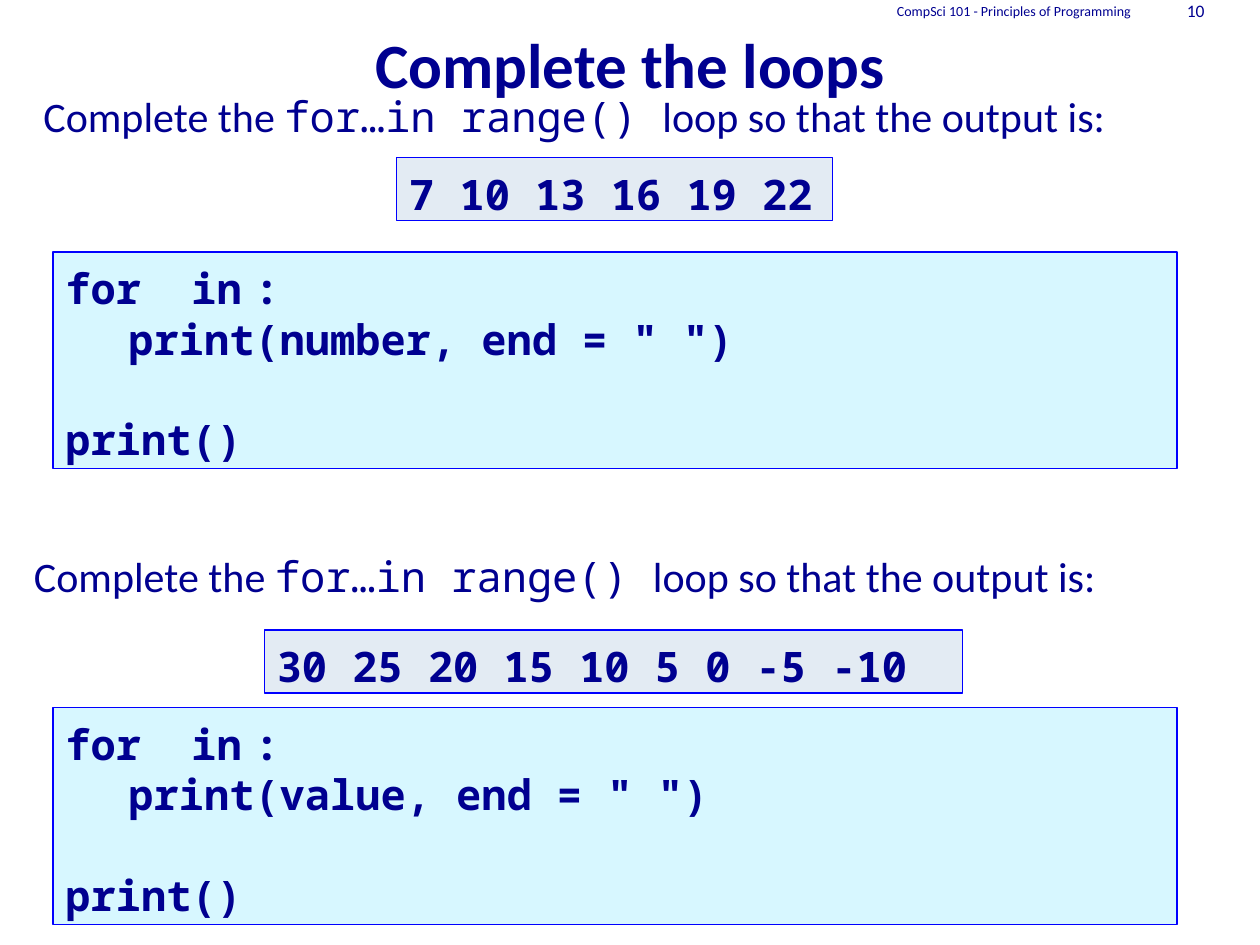
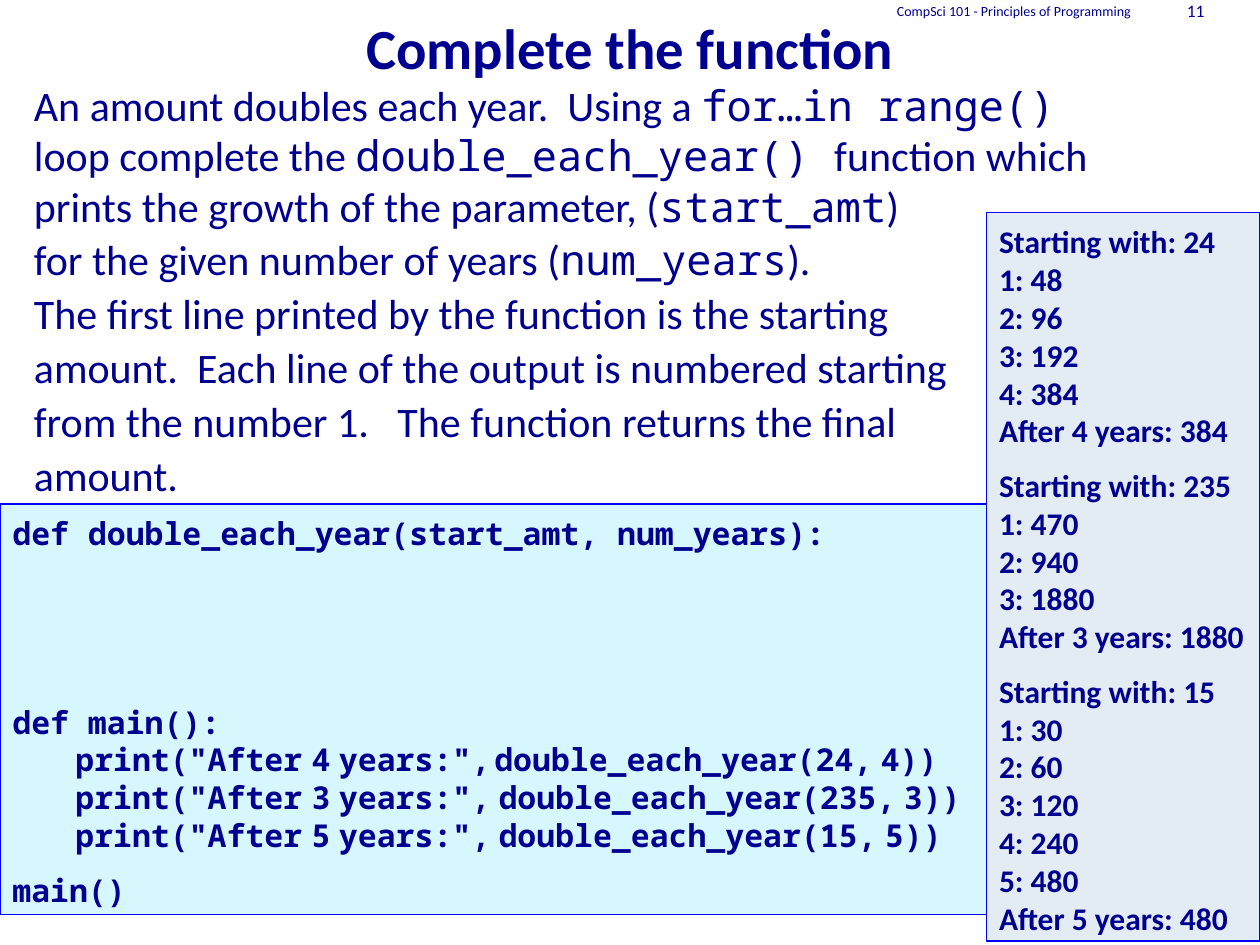
from dataclasses import dataclass
from typing import NamedTuple

from lxml import etree
from pptx import Presentation
from pptx import util as u
from pptx.dml.color import RGBColor
from pptx.enum import shapes, text
from pptx.oxml import ns


@dataclass(frozen=True)
class Theme:
    ink: RGBColor = RGBColor(0x00, 0x00, 0x90)
    edge: RGBColor = RGBColor(0x00, 0x00, 0xFF)
    code: RGBColor = RGBColor(0xD7, 0xF7, 0xFF)
    result: RGBColor = RGBColor(0xE3, 0xEB, 0xF3)
    sans: str = "Calibri"
    mono: str = "Noto Sans Mono"
    head: float = 36
    tight: float = 32.4
    large: float = 24
    small: float = 18
    page: float = 10
    note: float = 8
    pitch: float = 1.2
    gap: float = 9.6


class Area(NamedTuple):
    left: float
    top: float
    width: float
    height: float


class Line(NamedTuple):
    text: str
    before: float = 0
    thin: tuple[float, ...] = ()


class Panel(NamedTuple):
    area: Area
    lines: list[Line]
    fill: RGBColor
    font: str
    size: float
    tabs: tuple[float, ...] = ()


class Sheet(NamedTuple):
    number: int
    title: str
    size: float
    depth: float
    body: Area
    prompt: list[Line]
    panels: list[Panel]


THEME = Theme()
MARK = "|"
COURSE = "CompSci 101 - Principles of Programming"
PROMPT = "Complete the |for…in range() |loop so that the output is:"
STOPS = (1.0, 8.64, 19.81)
CASES = [(24, 4), (235, 3), (15, 5)]


def style(run, font: str, size: float, bold: bool = False) -> None:
    run.font.name = font
    run.font.size = u.Pt(size)
    run.font.bold = bold
    run.font.color.rgb = THEME.ink


def place(shape, area: Area) -> None:
    shape.left, shape.top, shape.width, shape.height = map(u.Cm, area)


def indent(para, tabs: tuple[float, ...]) -> None:
    props = para._p.get_or_add_pPr()
    props.set("marL", "0")
    props.set("indent", "0")
    etree.SubElement(props, ns.qn("a:buNone"))
    if tabs:
        stops = etree.SubElement(props, ns.qn("a:tabLst"))
        for stop in tabs:
            etree.SubElement(stops, ns.qn("a:tab"), pos=str(u.Cm(stop)), algn="l")


def write(frame, lines: list[Line], font: str, size: float,
          bold: bool = False, tabs: tuple[float, ...] = ()) -> None:
    frame.word_wrap = True
    frame.auto_size = text.MSO_AUTO_SIZE.NONE
    frame.vertical_anchor = text.MSO_ANCHOR.TOP
    frame.text = "\n".join(line.text.replace(MARK, "") for line in lines)
    for para, line in zip(frame.paragraphs, lines):
        para.alignment = text.PP_ALIGN.LEFT
        para.line_spacing = u.Pt(THEME.pitch * size)
        para.space_before = u.Pt(line.before)
        indent(para, tabs)
        parts = line.text.split(MARK)
        para.runs[0].text = parts[0]
        for part in parts[1:]:
            para.add_run().text = part
        thin = iter(line.thin)
        for place_no, run in enumerate(para.runs):
            odd = place_no % 2 == 1
            face = THEME.mono if odd else font
            style(run, face, next(thin, size) if odd else size, bold)


def draw_panel(slide, panel: Panel) -> None:
    box = slide.shapes.add_shape(shapes.MSO_SHAPE.RECTANGLE, *map(u.Cm, panel.area))
    box.shadow.inherit = False
    box.fill.solid()
    box.fill.fore_color.rgb = panel.fill
    box.line.color.rgb = THEME.edge
    box.line.width = u.Pt(0.75)
    frame = box.text_frame
    write(frame, panel.lines, panel.font, panel.size, True, panel.tabs)
    frame.margin_top = u.Cm(0.13) + u.Pt(panel.size * 0.1)


def draw_label(slide, area: Area, label: str, size: float) -> None:
    frame = slide.shapes.add_textbox(*map(u.Cm, area)).text_frame
    frame.word_wrap = True
    frame.margin_top = frame.margin_bottom = 0
    frame.vertical_anchor = text.MSO_ANCHOR.MIDDLE
    frame.text = label
    para = frame.paragraphs[0]
    para.alignment = text.PP_ALIGN.RIGHT
    style(para.runs[0], THEME.sans, size)


def draw_title(slide, sheet: Sheet) -> None:
    title = slide.shapes.title
    place(title, Area(0, 0, 25.4, sheet.depth))
    frame = title.text_frame
    frame.auto_size = text.MSO_AUTO_SIZE.NONE
    frame.vertical_anchor = text.MSO_ANCHOR.BOTTOM
    frame.margin_bottom = u.Cm(0.07)
    frame.text = sheet.title
    para = frame.paragraphs[0]
    para.alignment = text.PP_ALIGN.CENTER
    style(para.runs[0], THEME.sans, sheet.size, True)


def draw_sheet(deck, sheet: Sheet) -> None:
    slide = deck.slides.add_slide(deck.slide_layouts[1])
    draw_title(slide, sheet)
    body = slide.placeholders[1]
    place(body, sheet.body)
    write(body.text_frame, sheet.prompt, THEME.sans, THEME.large)
    draw_label(slide, Area(23.06, 0, 1.47, 0.43), str(sheet.number), THEME.page)
    draw_label(slide, Area(15.44, 0, 7.62, 0.43), COURSE, THEME.note)
    for panel in sheet.panels:
        draw_panel(slide, panel)


def loop(top: float, name: str) -> Panel:
    lines = [
        Line("for\tin\t:"),
        Line(f'\tprint({name}, end = " ")'),
        Line("print()", THEME.pitch * THEME.large),
    ]
    return Panel(Area(1.07, top, 22.66, 4.37), lines, THEME.code,
                 THEME.mono, THEME.large, STOPS)


def result(area: Area, values: str) -> Panel:
    return Panel(area, [Line(values)], THEME.result, THEME.mono, THEME.large)


def call(start: int, years: int) -> Line:
    words = ['\tprint("After', str(years), 'years:",',
             f"double_each_year({start},", f"{years}))"]
    third = 4 if start == CASES[0][0] else 8
    return Line("| |".join(words), thin=(9, 8, third, 8))


def growth() -> list[Line]:
    lines: list[Line] = []
    for start, years in CASES:
        lines.append(Line(f"Starting with: {start}", THEME.gap if lines else 0))
        lines += [Line(f"{year}: {start * 2 ** year}") for year in range(1, years + 1)]
        lines.append(Line(f"After {years} years: {start * 2 ** years}"))
    return lines


def loops() -> Sheet:
    panels = [
        loop(5.08, "number"),
        result(Area(8, 3.18, 8.79, 1.27), "7 10 13 16 19 22"),
        loop(14.27, "value"),
        result(Area(5.33, 12.7, 14.07, 1.27), "30 25 20 15 10 5 0 -5 -10"),
    ]
    prompt = [Line(" " + PROMPT, 2), Line(PROMPT, 234)]
    return Sheet(10, "Complete the loops", THEME.head, 2.11,
                 Area(0.43, 1.7, 24.33, 13.03), prompt, panels)


def doubling() -> Sheet:
    prompt = [
        "An amount doubles each year.  Using a |for…in range() |loop complete the "
        "|double_each_year() |function which prints the growth of the parameter, "
        "(|start_amt|)",
        "for the given number of years (|num_years|).",
        "The first line printed by the function is the starting",
        "amount.  Each line of the output is numbered starting",
        "from the number 1.   The function returns the final",
        "amount.",
    ]
    code = [
        Line("def double_each_year(start_amt, num_years):"),
        Line("def main():", 4 * THEME.pitch * THEME.small),
        *(call(start, years) for start, years in CASES),
        Line("main()", THEME.gap),
    ]
    panels = [
        Panel(Area(0, 10.16, 21.16, 8.28), code, THEME.code,
              THEME.mono, THEME.small, STOPS[:1]),
        Panel(Area(19.89, 4.29, 5.51, 14.68), growth(), THEME.result,
              THEME.sans, THEME.small),
    ]
    return Sheet(11, "Complete the function", THEME.tight, 1.7,
                 Area(0.43, 1.47, 22.02, 13.03),
                 [Line(words, 2) for words in prompt], panels)


def main() -> None:
    deck = Presentation()
    deck.slide_width, deck.slide_height = u.Cm(25.4), u.Cm(19.05)
    for sheet in (loops(), doubling()):
        draw_sheet(deck, sheet)
    deck.save("out.pptx")


if __name__ == "__main__":
    main()
